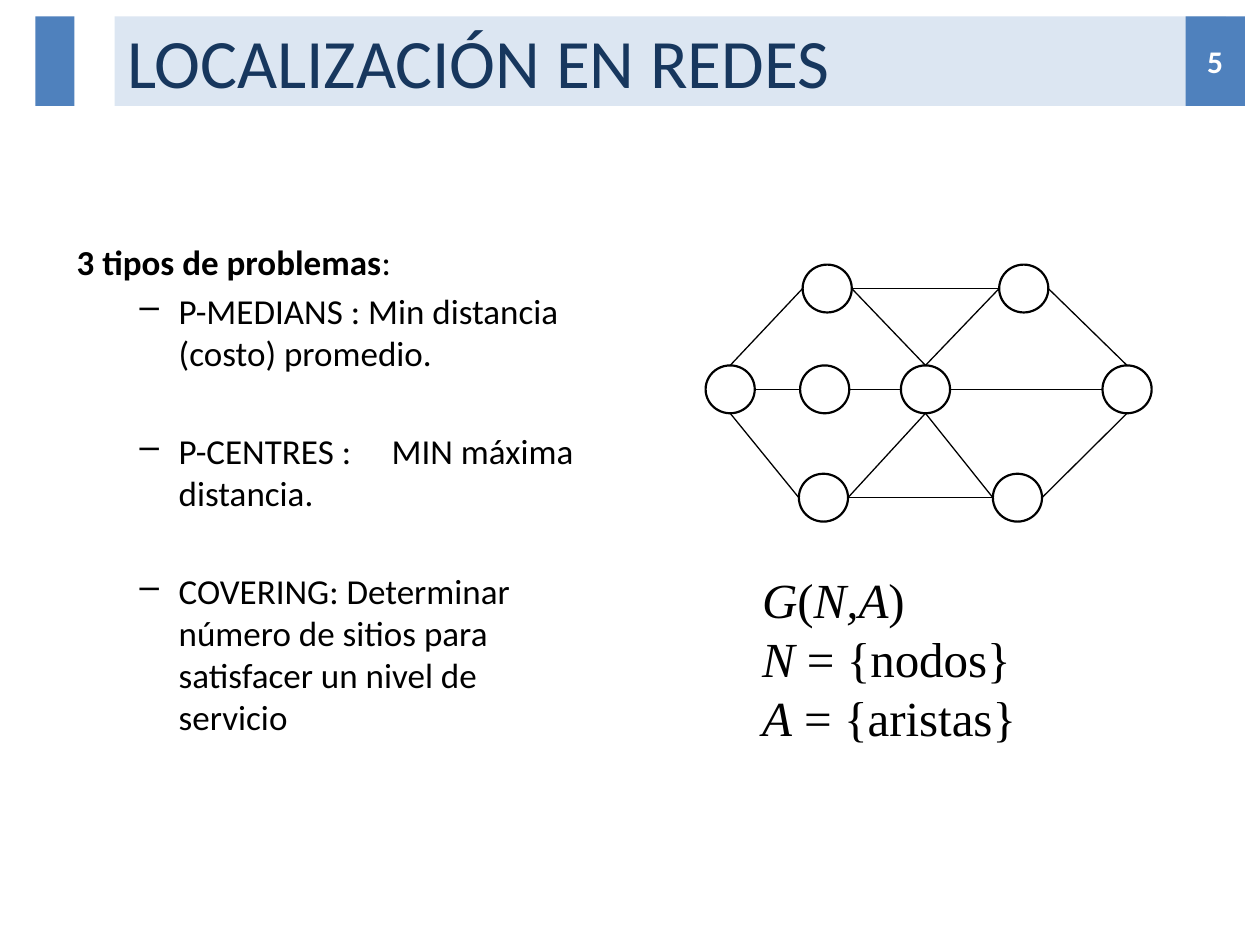
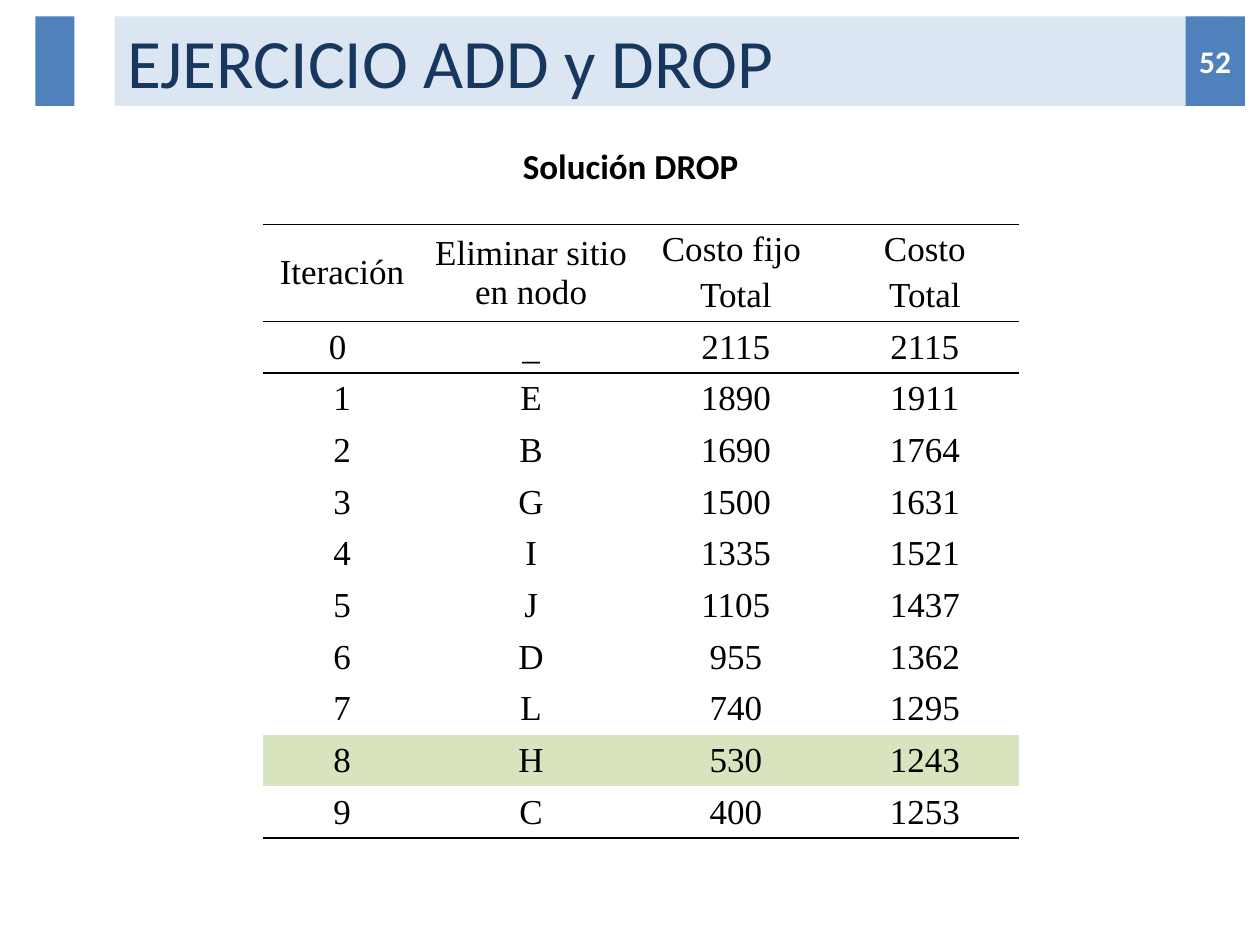
from lxml import etree
from pptx import Presentation
from pptx.dml.color import RGBColor
from pptx.enum.shapes import MSO_CONNECTOR, MSO_SHAPE
from pptx.enum.text import MSO_ANCHOR, PP_ALIGN
from pptx.oxml.ns import qn
from pptx.util import Inches, Pt

RECT, OVAL = MSO_SHAPE.RECTANGLE, MSO_SHAPE.OVAL
STRAIGHT = MSO_CONNECTOR.STRAIGHT
TOP, MIDDLE = MSO_ANCHOR.TOP, MSO_ANCHOR.MIDDLE
LEFT, CENTER = PP_ALIGN.LEFT, PP_ALIGN.CENTER

SANS, SERIF = "Calibri", "Times New Roman"
BLACK, WHITE = "000000", "FFFFFF"
NAVY, BLUE, PALE_BLUE, PALE_GREEN = "17375E", "4F81BD", "DCE6F2", "D7E4BD"
NO_STYLE_NO_GRID = "{2D5ABB26-0587-4C30-8999-92F81FD0307C}"
BAND_TOP, BAND_HEIGHT = 0.13, 0.71

NODE_WIDTH, NODE_HEIGHT = 0.39, 0.38
NODES = {
    "west": (5.6, 2.9), "inner": (6.35, 2.9), "hub": (7.15, 2.9), "east": (8.75, 2.9),
    "northwest": (6.37, 2.1), "northeast": (7.93, 2.1),
    "southwest": (6.34, 3.76), "southeast": (7.88, 3.76),
}
# Fractions of a node's width and height where an edge touches it
SIDES = {"top": (0.5, 0), "left": (0, 0.5), "bottom": (0.5, 1), "right": (1, 0.5)}
EDGES = [
    ("west", "top", "northwest", "left"),
    ("west", "right", "inner", "left"),
    ("west", "bottom", "southwest", "left"),
    ("northwest", "right", "northeast", "left"),
    ("northwest", "right", "hub", "top"),
    ("inner", "right", "hub", "left"),
    ("southwest", "right", "southeast", "left"),
    ("southwest", "right", "hub", "bottom"),
    ("hub", "right", "east", "left"),
    ("hub", "top", "northeast", "left"),
    ("hub", "bottom", "southeast", "left"),
    ("southeast", "right", "east", "bottom"),
    ("northeast", "right", "east", "top"),
]

PROBLEMS = [
    "P-MEDIANS : Min distancia (costo) promedio.",
    "P-CENTRES :\tMIN máxima distancia.",
    "COVERING: Determinar número de sitios para satisfacer un nivel de servicio",
]

DROP_HEADER = ["Iteración", "Eliminar sitio en nodo", "Costo fijo \nTotal", "Costo\nTotal"]
DROP_STEPS = [
    ("0 ", "_", 2115, 2115), (1, "E", 1890, 1911), (2, "B", 1690, 1764),
    (3, "G", 1500, 1631), (4, "I", 1335, 1521), (5, "J", 1105, 1437),
    (6, "D", 955, 1362), (7, "L", 740, 1295), (8, "H", 530, 1243), (9, "C", 400, 1253),
]
BEST_STEP = 8


def rgb(hex_color):
    return RGBColor.from_string(hex_color)


def inches(*lengths):
    return [Inches(length) for length in lengths]


def set_font(paragraph, size, face=SANS, color=BLACK, bold=None):
    font = paragraph.font
    font.size, font.name, font.bold = Pt(size), face, bold
    font.color.rgb = rgb(color)


def add_dash(paragraph, indent, hanging):
    properties = paragraph._p.get_or_add_pPr()
    properties.set("marL", str(Inches(indent)))
    properties.set("indent", str(-Inches(hanging)))
    etree.SubElement(properties, qn("a:buChar")).set("char", "–")


def rule_cell(cell, side):
    """Draw a thin black border; side is 'T' or 'B'."""
    border = etree.Element(qn(f"a:ln{side}"), w=str(Pt(1)))
    fill = etree.SubElement(border, qn("a:solidFill"))
    etree.SubElement(fill, qn("a:srgbClr"), val=BLACK)
    cell._tc.get_or_add_tcPr().insert(0, border)


class Deck:
    def __init__(self):
        self.presentation = Presentation()
        self.presentation.slide_width, self.presentation.slide_height = inches(10, 7.5)
        self.slide = None

    def start_slide(self, title, number):
        """Add a slide with the title band, side block and page number."""
        self.slide = self.presentation.slides.add_slide(self.presentation.slide_layouts[6])
        band = self.shape(RECT, 0.91, BAND_TOP, 8.82, BAND_HEIGHT, fill=PALE_BLUE)
        self.label(band, title, 39.6, NAVY, align=LEFT)
        self.shape(RECT, 0.28, BAND_TOP, 0.31, BAND_HEIGHT, fill=BLUE)
        page = self.shape(RECT, 9.41, BAND_TOP, 0.47, BAND_HEIGHT, fill=BLUE)
        page.text_frame.margin_left = page.text_frame.margin_right = 0
        self.label(page, str(number), 18, WHITE, bold=True)

    def shape(self, kind, left, top, width, height, fill=None, line_width=None):
        shape = self.slide.shapes.add_shape(kind, *inches(left, top, width, height))
        shape.shadow.inherit = False
        if fill:
            shape.fill.solid()
            shape.fill.fore_color.rgb = rgb(fill)
        else:
            shape.fill.background()
        if line_width:
            shape.line.color.rgb = rgb(BLACK)
            shape.line.width = Pt(line_width)
        else:
            shape.line.fill.background()
        return shape

    def label(self, shape, text, size, color=BLACK, bold=None, align=CENTER):
        frame = shape.text_frame
        frame.vertical_anchor = MIDDLE
        frame.text = text
        frame.paragraphs[0].alignment = align
        set_font(frame.paragraphs[0], size, color=color, bold=bold)

    def text_box(self, left, top, width, height):
        box = self.slide.shapes.add_textbox(*inches(left, top, width, height))
        box.text_frame.word_wrap = True
        return box

    def edge(self, start, end):
        line = self.slide.shapes.add_connector(STRAIGHT, *inches(*start, *end))
        line.line.color.rgb = rgb(BLACK)
        line.line.width = Pt(0.75)
        etree.SubElement(line._element.spPr, qn("a:effectLst"))

    def table(self, left, top, column_widths, row_heights, rows, highlighted):
        """Fill a ruled, centred table; highlighted is a row index."""
        table = self.slide.shapes.add_table(
            len(rows), len(column_widths),
            *inches(left, top, sum(column_widths), sum(row_heights))).table
        table._tbl.tblPr.find(qn("a:tableStyleId")).text = NO_STYLE_NO_GRID
        table.first_row = table.horz_banding = False
        for column, width in zip(table.columns, column_widths):
            column.width = Inches(width)
        for row, height in zip(table.rows, row_heights):
            row.height = Inches(height)
        for row_index, values in enumerate(rows):
            for column_index, value in enumerate(values):
                cell = table.cell(row_index, column_index)
                self.fill_cell(cell, str(value), row_index == highlighted)
                if row_index in (0, len(rows) - 1):
                    rule_cell(cell, "B")
                if row_index in (0, 1):
                    rule_cell(cell, "T")

    def fill_cell(self, cell, text, highlighted):
        cell.text = text
        cell.vertical_anchor = MIDDLE
        for index, paragraph in enumerate(cell.text_frame.paragraphs):
            paragraph.alignment = CENTER
            if index:
                paragraph.space_before = Pt(4)
            set_font(paragraph, 20, SERIF)
        if highlighted:
            cell.fill.solid()
            cell.fill.fore_color.rgb = rgb(PALE_GREEN)
        else:
            cell.fill.background()


def node_side(node, side):
    left, top = NODES[node]
    across, down = SIDES[side]
    return left + across * NODE_WIDTH, top + down * NODE_HEIGHT


def build_network_slide(deck):
    deck.start_slide("LOCALIZACIÓN EN REDES", 5)

    problems = deck.text_box(0.51, 1.86, 4.25, 4.4).text_frame
    heading = problems.paragraphs[0]
    heading.add_run().text = "3 tipos de problemas"
    heading.add_run().text = ":"
    heading.runs[0].font.bold = True
    set_font(heading, 20)
    for index, problem in enumerate(PROBLEMS):
        item = problems.add_paragraph()
        item.text = problem
        item.space_before = Pt(32 if index else 4)
        add_dash(item, 0.81, 0.31)
        set_font(item, 20)

    for left, top in NODES.values():
        deck.shape(OVAL, left, top, NODE_WIDTH, NODE_HEIGHT, line_width=1.25)
    for start, start_side, end, end_side in EDGES:
        deck.edge(node_side(start, start_side), node_side(end, end_side))

    definitions = [
        [("G", True), ("(", False), ("N,A", True), (")", False)],
        [("N", True), (" = {nodos}", False)],
        [("A", True), (" = {aristas}", False)],
    ]
    graph = deck.text_box(5.95, 4.47, 2.52, 1.5).text_frame
    for index, definition in enumerate(definitions):
        line = graph.add_paragraph() if index else graph.paragraphs[0]
        line.line_spacing = Pt(33.7)
        for text, italic in definition:
            run = line.add_run()
            run.text, run.font.italic = text, italic
        set_font(line, 28, SERIF)


def build_drop_slide(deck):
    deck.start_slide("EJERCICIO ADD y DROP", 52)
    deck.table(2.09, 1.78, [1.25, 1.75, 1.5, 1.5], [0.77] + [0.41] * len(DROP_STEPS),
               [DROP_HEADER] + DROP_STEPS, highlighted=BEST_STEP + 1)
    subtitle = deck.text_box(0.2, 0.84, 9.61, 0.94)
    deck.label(subtitle, "Solución DROP", 20, bold=True)


def main():
    deck = Deck()
    build_network_slide(deck)
    build_drop_slide(deck)
    deck.presentation.save("out.pptx")


if __name__ == "__main__":
    main()
